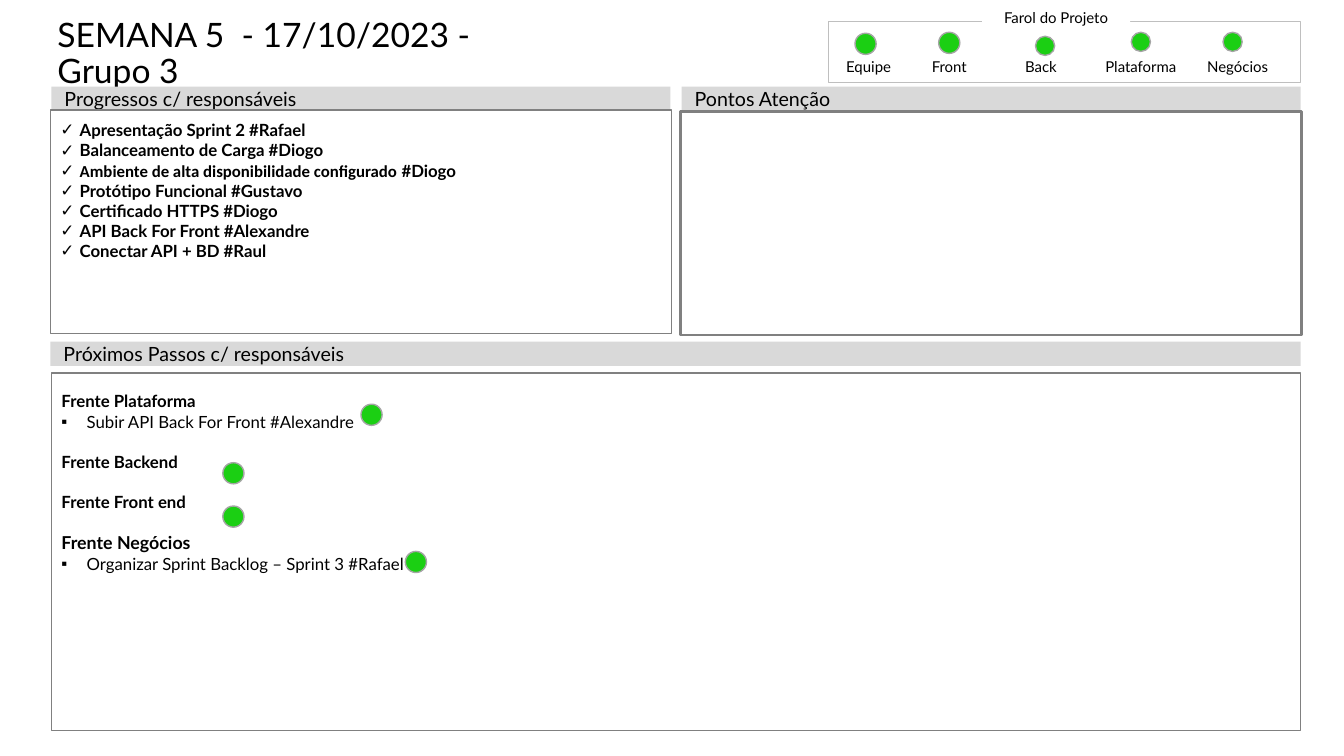
from lxml import etree
from pptx import Presentation, util as u
from pptx.dml.color import RGBColor
from pptx.enum import shapes, text
from pptx.oxml.ns import qn

COLORS = {"text": "000000", "bar": "D9D9D9", "frame": "808080",
          "legend": "BFBFBF", "paper": "FFFFFF", "go": "1BCF13", "rim": "A5A5A5"}
FONT = "Lato"

deck = Presentation()
deck.slide_width, deck.slide_height = u.Inches(13.33), u.Inches(7.5)
CELL = deck.slide_height / 75  # square grid, 75 rows high
slide = deck.slides.add_slide(deck.slide_layouts[3])
title, progress, next_steps = slide.placeholders


def draw(kind, area, fill=None, line=None, weight=1):
    """Add a preset shape; area is left, top, width, height in cells."""
    shape = slide.shapes.add_shape(kind, *[round(n * CELL) for n in area])
    shape.shadow.inherit = False
    if fill:
        shape.fill.solid()
        shape.fill.fore_color.rgb = RGBColor.from_string(COLORS[fill])
    else:
        shape.fill.background()
    if line:
        shape.line.color.rgb = RGBColor.from_string(COLORS[line])
        shape.line.width = u.Pt(weight)
    else:
        shape.line.fill.background()
    return shape


def write(shape, lines, size, insets, anchor, align=text.PP_ALIGN.LEFT, wrap=True):
    """Fill a shape with paragraphs; insets are in cells."""
    frame = shape.text_frame
    frame.auto_size, frame.word_wrap = text.MSO_AUTO_SIZE.NONE, wrap
    frame.vertical_anchor = anchor
    (frame.margin_left, frame.margin_top,
     frame.margin_right, frame.margin_bottom) = [round(n * CELL) for n in insets]
    frame.text = "\n".join(lines)
    for para in frame.paragraphs:
        para.alignment, para.space_before = align, u.Pt(0)
        para.font.size, para.font.name = u.Pt(size), FONT
        para.font.color.rgb = RGBColor.from_string(COLORS["text"])
    return frame.paragraphs


RECT, DOT = shapes.MSO_SHAPE.RECTANGLE, shapes.MSO_SHAPE.OVAL
TOP, MIDDLE, BOTTOM = text.MSO_ANCHOR.TOP, text.MSO_ANCHOR.MIDDLE, text.MSO_ANCHOR.BOTTOM
CENTER = text.PP_ALIGN.CENTER

# Title
title_area = (4.7, 1.8, 51.3, 7.9)
heading = write(title, ["SEMANA 5  - 17/10/2023 - Grupo 3"], 24, (1, 0, 1, 0), TOP)[0]
heading.line_spacing = 0.9

# Section bars
for left, top, width, section in [(5.1, 8.6, 61.4, "Progressos c/ responsáveis"),
                                  (67.6, 8.6, 61.4, "Pontos Atenção"),
                                  (5, 33.9, 124, "Próximos Passos c/ responsáveis")]:
    bar = draw(RECT, (left, top, width, 2.4), "bar")
    write(bar, [section], 14, (1.3, 0.7, 1.3, 0.7), MIDDLE)

# Progress and next steps lists
done = write(progress, ["Apresentação Sprint 2 #Rafael", "Balanceamento de Carga #Diogo",
                        "Ambiente de alta disponibilidade configurado",
                        "Protótipo Funcional #Gustavo", "Certificado HTTPS #Diogo",
                        "API Back For Front #Alexandre", "Conectar API + BD #Raul"],
             12, (1, 1, 1, 0.5), TOP)
done[2].runs[0].font.name = "Calibri"
owner = done[2].add_run()
owner.text, owner.font.name = " #Diogo", FONT

steps = write(next_steps, ["Frente Plataforma", "Subir API Back For Front #Alexandre",
                           "Frente Backend", "Frente Front end", "Frente Negócios",
                           "Organizar Sprint Backlog – Sprint 3 #Rafael"],
              12, (1, 1.8, 1, 0.5), TOP)
for front in steps[2:5]:
    front.space_before = u.Pt(14.4)
steps[4].font.size = u.Pt(12.7)

for para in [*done, *steps]:
    is_front = para.text.startswith("Frente")
    is_done = para in done
    para.font.bold = is_front or is_done
    indent = 0 if is_front else round((1.9 if is_done else 2.5) * CELL)
    props = para._p.get_or_add_pPr()
    props.set("marL", str(indent))
    props.set("indent", str(-indent))
    bullet = etree.Element(qn("a:buNone" if is_front else "a:buChar"))
    if not is_front:
        bullet.set("char", "✓" if is_done else "▪")
    props.find(qn("a:spcBef")).addnext(bullet)

# Frames: the lists go in front of the bars, the title stays behind
for holder, area in [(title, title_area), (progress, (5, 10.9, 61.6, 22.2)),
                     (next_steps, (5.1, 37, 123.9, 35.5))]:
    holder.left, holder.top, holder.width, holder.height = [round(n * CELL) for n in area]
    if holder is not title:
        holder.line.color.rgb = RGBColor.from_string(COLORS["frame"])
        holder.line.width = u.Pt(1)
        slide.shapes.element.append(holder.element)
draw(RECT, (67.5, 11.05, 61.6, 22.2), line="frame", weight=1.75)

# Project status legend
draw(RECT, (82.2, 2.1, 46.8, 6.1), line="legend", weight=0.5)
legend = draw(RECT, (97.4, 0.5, 14.7, 2.1), "paper")
write(legend, ["Farol do Projeto"], 10.7, (0.5, 0.5, 0.5, 0), BOTTOM, CENTER, False)

for left, area_name, dot_left, dot_top, dot_size in [
        (81.7, "Equipe", 84.8, 3.3, 2.1), (89.7, "Front", 93.1, 3.2, 2.1),
        (98.8, "Back", 102.7, 3.6, 1.9), (108.7, "Plataforma", 112.2, 3.2, 1.9),
        (118.3, "Negócios", 121.3, 3.2, 1.9)]:
    label = draw(RECT, (left, 5.7, 8.9, 1.8))
    write(label, [area_name], 10.7, (0.5, 0.5, 0.5, 0), BOTTOM, CENTER, False)
    draw(DOT, (dot_left, dot_top, dot_size, dot_size), "go", "rim")

# Status of each front
for left, top in [(35.8, 40.1), (22.1, 45.9), (22.1, 50.2), (40.2, 54.7)]:
    draw(DOT, (left, top, 2.1, 2.1), "go", "rim")

deck.save("out.pptx")
